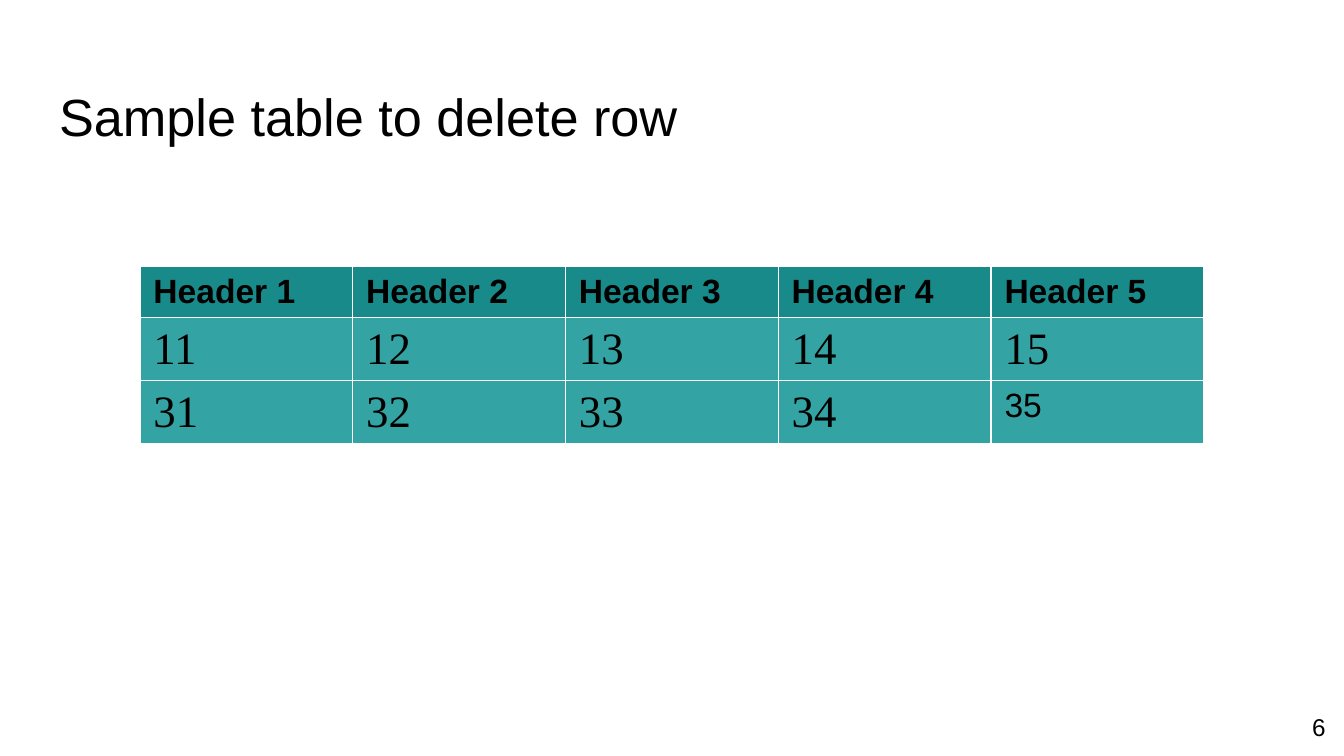
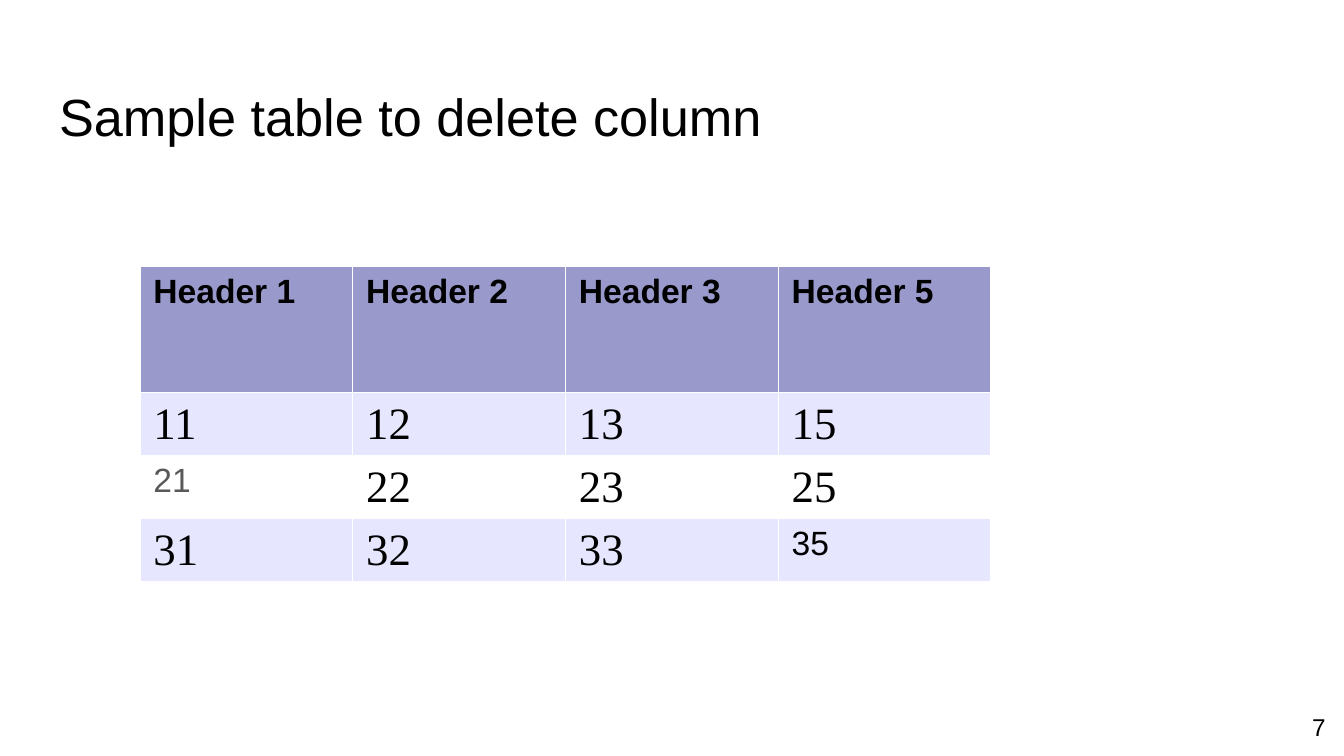
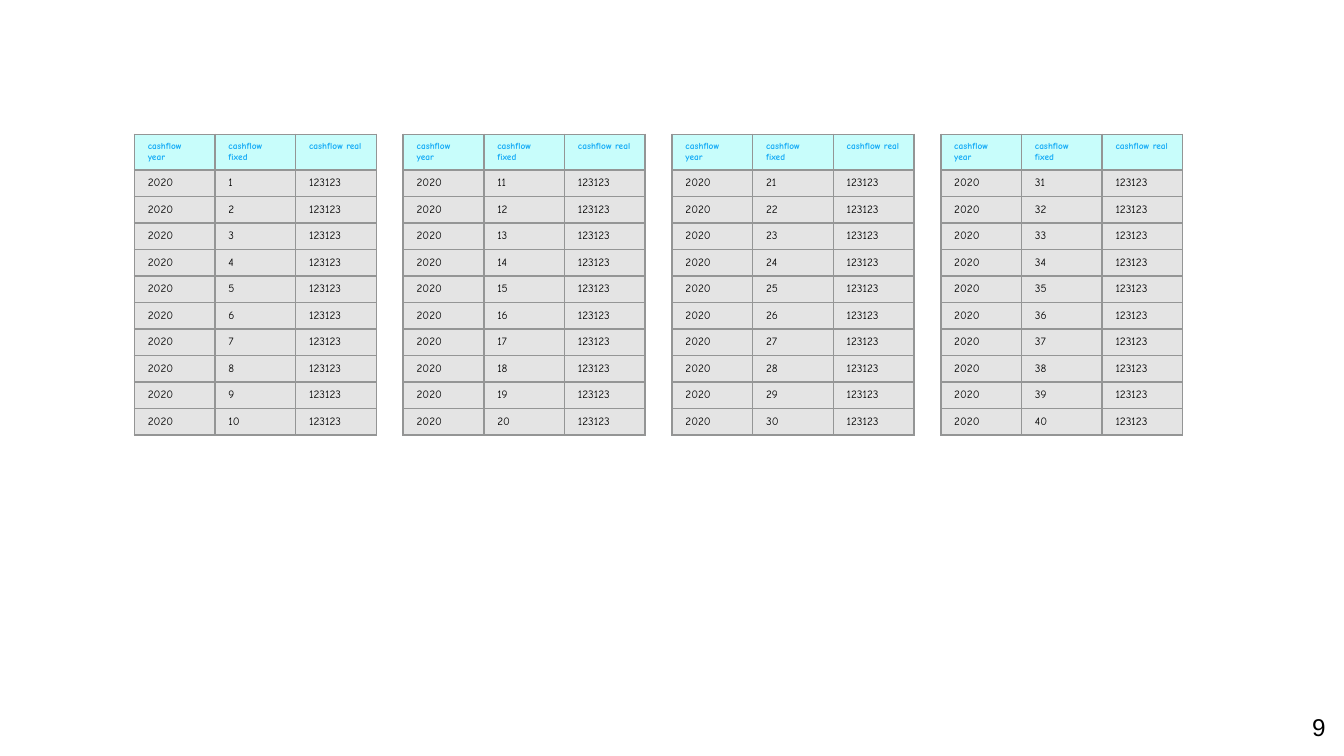
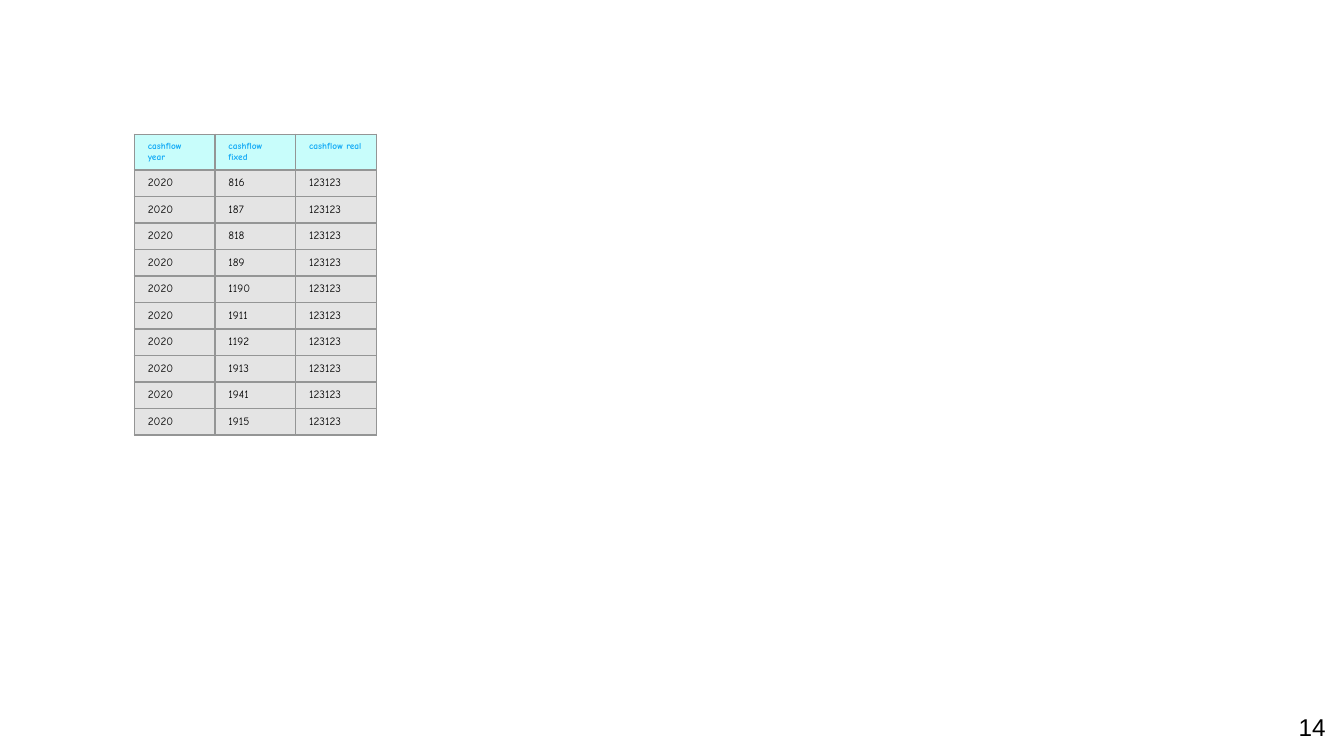
from lxml import etree
from pptx import Presentation
from pptx import util as u
from pptx.dml.color import RGBColor
from pptx.enum import text
from pptx.oxml import ns

Pt = u.Pt
COLORS = {
    "ink": "000000", "muted": "595959", "white": "FFFFFF",
    "teal_dark": "198A8A", "teal": "33A3A3",
    "violet": "9999CC", "lavender": "E6E6FF",
    "cyan": "C8FDFB", "sky": "13AAF6", "gray": "E4E4E4", "rule": "949595",
}
TITLE_ONLY, BLANK = 5, 6

# Text styles: font, size, colour, bold
TITLE = ("Arial", 28, "ink", False)
NUMBER = ("Arial", 13, "ink", False)
HEADER = ("Arial", 18, "ink", True)
VALUE = ("Times New Roman", 24, "ink", False)
EDITED = ("Arial", 18, "ink", False)
EDITED_MUTED = ("Arial", 18, "muted", False)
CASH_HEADER = ("Comic Neue", 5, "sky", True)
CASH_VALUE = ("Comic Neue", 6, "ink", False)

CASH_HEADINGS = ["cashflow year", "cashflow fixed", "cashflow real"]


def rgb(name):
    return RGBColor.from_string(COLORS[name])


def write(frame, words, style, align=text.PP_ALIGN.LEFT):
    frame.text = words
    para = frame.paragraphs[0]
    para.alignment = align
    font = para.font
    font.name, size, color, font.bold = style
    font.size = Pt(size)
    font.color.rgb = rgb(color)


def set_insets(frame, top):
    frame.word_wrap = True
    frame.auto_size = text.MSO_AUTO_SIZE.NONE
    frame.margin_left = frame.margin_right = frame.margin_bottom = Pt(7.2)
    frame.margin_top = Pt(top)


# Parts shared by the slides
def add_page(deck, number, title=None):
    page = deck.slides.add_slide(deck.slide_layouts[TITLE_ONLY if title else BLANK])
    if title:
        box = page.shapes.title
        box.left, box.top, box.width, box.height = Pt(24.5), Pt(35), Pt(670), Pt(43)
        set_insets(box.text_frame, 10)
        box.text_frame.vertical_anchor = text.MSO_ANCHOR.TOP
        write(box.text_frame, title, TITLE)
    box = page.shapes.add_textbox(Pt(674), Pt(373.7), Pt(43.2), Pt(31))
    set_insets(box.text_frame, 7.2)
    box.text_frame.vertical_anchor = text.MSO_ANCHOR.MIDDLE
    write(box.text_frame, str(number), NUMBER, text.PP_ALIGN.RIGHT)
    return page


def set_borders(cell, color, width):
    properties = cell._tc.get_or_add_tcPr()
    for position, side in enumerate(("lnL", "lnR", "lnT", "lnB")):
        line = etree.Element(ns.qn("a:" + side), w=str(Pt(width)))
        fill = etree.SubElement(line, ns.qn("a:solidFill"))
        etree.SubElement(fill, ns.qn("a:srgbClr"), val=COLORS[color])
        properties.insert(position, line)


def add_grid(page, rows, left, top, column_width, height, fills, styles,
             border, special=None):
    """Draw rows of text; fills has one name per row, styles is (header, body)."""
    columns = len(rows[0])
    table = page.shapes.add_table(len(rows), columns, Pt(left), Pt(top),
                                  Pt(column_width * columns), Pt(height)).table
    table.first_row = table.horz_banding = False
    for r, (row, fill) in enumerate(zip(rows, fills)):
        for c, words in enumerate(row):
            cell = table.cell(r, c)
            style = (special or {}).get((r, c), styles[min(r, 1)])
            write(cell.text_frame, words, style)
            cell.fill.solid()
            cell.fill.fore_color.rgb = rgb(fill)
            set_borders(cell, *border)
    return table


# The two kinds of table
def add_sample_table(page, columns, lines, header_height, fills, special):
    rows = [[f"Header {c}" for c in columns]]
    rows += [[f"{line}{c}" for c in columns] for line in lines]
    heights = [header_height] + [33.75] * len(lines)
    table = add_grid(page, rows, 75, 142.75, 114, sum(heights), fills,
                     (HEADER, VALUE), ("white", 0.75), special)
    for row, height in zip(table.rows, heights):
        row.height = Pt(height)


def add_cashflow_table(page, left, fixed_values):
    rows = [CASH_HEADINGS] + [["2020", str(value), "123123"] for value in fixed_values]
    fills = ["cyan"] + ["gray"] * len(fixed_values)
    # Rows start almost flat and grow to fit their text
    add_grid(page, rows, left, 72, 43.2, 2.88, fills,
             (CASH_HEADER, CASH_VALUE), ("rule", 0.94))


def main():
    deck = Presentation()
    deck.slide_width, deck.slide_height = Pt(720), Pt(405)

    # Table with one row deleted
    page = add_page(deck, 6, "Sample table to delete row")
    add_sample_table(page, [1, 2, 3, 4, 5], [1, 3], 27,
                     ["teal_dark", "teal", "teal"], {(2, 4): EDITED})

    # Table with one column deleted
    page = add_page(deck, 7, "Sample table to delete column")
    add_sample_table(page, [1, 2, 3, 5], [1, 2, 3], 67.5,
                     ["violet", "lavender", "white", "lavender"],
                     {(2, 0): EDITED_MUTED, (3, 3): EDITED})

    # Four cashflow tables side by side
    page = add_page(deck, 9)
    for block in range(4):
        first = block * 10 + 1
        add_cashflow_table(page, 72 + block * 144, range(first, first + 10))

    # Single cashflow table
    page = add_page(deck, 14)
    add_cashflow_table(page, 72, [816, 187, 818, 189, 1190,
                                  1911, 1192, 1913, 1941, 1915])

    deck.save("out.pptx")


if __name__ == "__main__":
    main()
